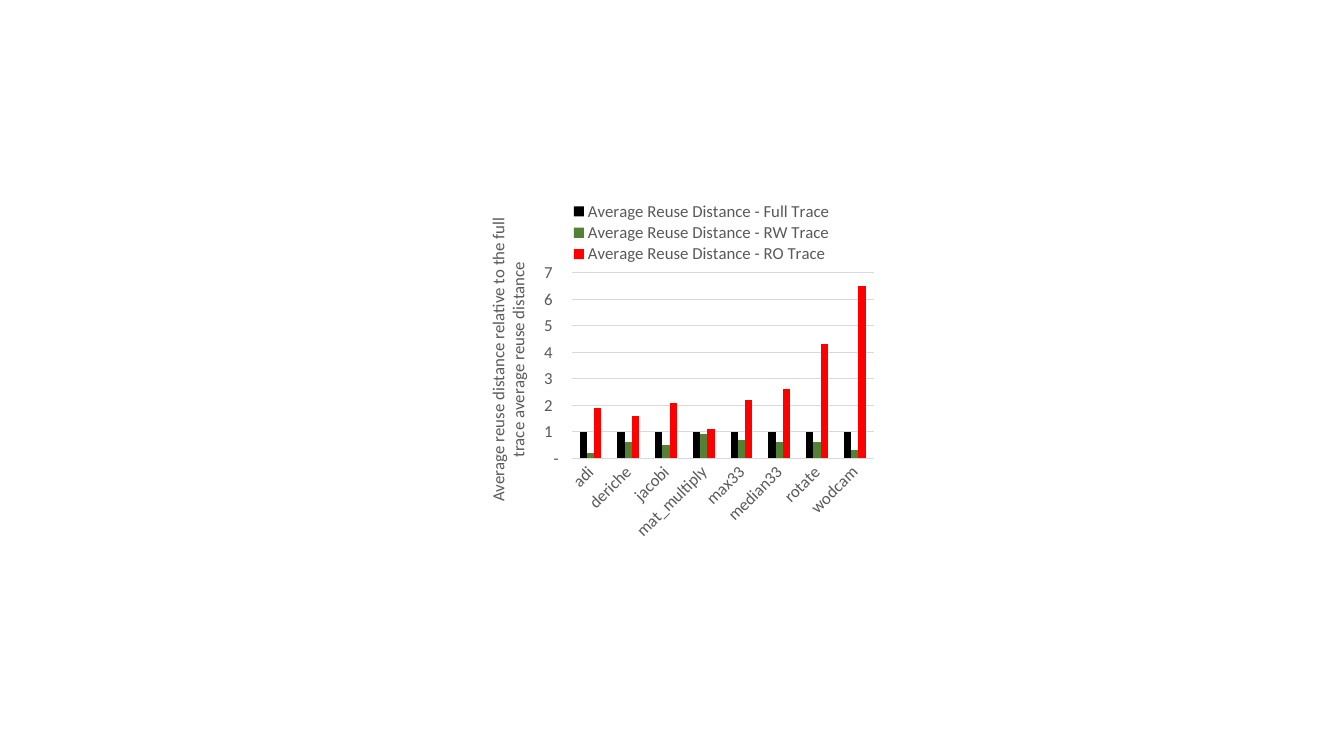
import pptx
import pptx.chart.data
import pptx.dml.color
import pptx.enum.chart
import pptx.oxml
import pptx.oxml.ns
import pptx.util

Cm = pptx.util.Cm
Pt = pptx.util.Pt
RGBColor = pptx.dml.color.RGBColor
qn = pptx.oxml.ns.qn

BLACK = RGBColor(0x00, 0x00, 0x00)
GREEN = RGBColor(0x54, 0x82, 0x35)
RED = RGBColor(0xFF, 0x00, 0x00)
TEXT_GREY = RGBColor(0x59, 0x59, 0x59)
LINE_GREY = RGBColor(0xD9, 0xD9, 0xD9)

KERNELS = ["adi", "deriche", "jacobi", "mat_multiply",
           "max33", "median33", "rotate", "wodcam"]
TRACES = [
    ("Full", BLACK, [1] * len(KERNELS)),
    ("RW", GREEN, [0.2, 0.6, 0.5, 0.9, 0.7, 0.6, 0.6, 0.3]),
    ("RO", RED, [1.9, 1.6, 2.1, 1.1, 2.2, 2.6, 4.3, 6.5]),
]
TEXT_FORMAT = {"name": "Calibri", "size": Pt(12), "bold": False}


def format_text(font):
    for attribute, value in TEXT_FORMAT.items():
        setattr(font, attribute, value)
    font.color.rgb = TEXT_GREY


def place(element, index, **fractions):
    for old_layout in element.findall(qn("c:layout")):
        element.remove(old_layout)
    settings = "".join(f'<c:{tag} val="{value}"/>' for tag, value in fractions.items())
    element.insert(index, pptx.oxml.parse_xml(
        f'<c:layout {pptx.oxml.ns.nsdecls("c")}><c:manualLayout>'
        f'{settings}</c:manualLayout></c:layout>'))


presentation = pptx.Presentation()
presentation.slide_width = Cm(33.87)
presentation.slide_height = Cm(19.05)
slide = presentation.slides.add_slide(presentation.slide_layouts[6])

reuse_data = pptx.chart.data.CategoryChartData()
reuse_data.categories = KERNELS
for trace, color, distances in TRACES:
    reuse_data.add_series(f"Average Reuse Distance - {trace} Trace", distances)

reuse_chart = slide.shapes.add_chart(
    pptx.enum.chart.XL_CHART_TYPE.COLUMN_CLUSTERED,
    Cm(11.66), Cm(4.95), Cm(10.57), Cm(9.17), reuse_data).chart
reuse_chart.has_title = False
format_text(reuse_chart.font)

bars = reuse_chart.plots[0]
bars.gap_width = 219
bars.overlap = 0
bars.vary_by_categories = False
for series, (trace, color, distances) in zip(bars.series, TRACES):
    series.format.fill.solid()
    series.format.fill.fore_color.rgb = color
    series.invert_if_negative = False

kernel_axis = reuse_chart.category_axis
distance_axis = reuse_chart.value_axis
for axis in (kernel_axis, distance_axis):
    axis.major_tick_mark = pptx.enum.chart.XL_TICK_MARK.NONE
    axis.minor_tick_mark = pptx.enum.chart.XL_TICK_MARK.NONE
    format_text(axis.tick_labels.font)

kernel_axis.has_major_gridlines = False
distance_axis.has_major_gridlines = True
for line in (kernel_axis.format.line, distance_axis.major_gridlines.format.line):
    line.color.rgb = LINE_GREY
    line.width = Pt(0.75)
distance_axis.format.line.fill.background()

distance_axis.minimum_scale = 0
distance_axis.maximum_scale = 7
distance_axis.major_unit = 1
distance_axis.tick_labels.number_format = (
    '_-* #,##0\\ _€_-;\\-* #,##0\\ _€_-;_-* "-"?')
distance_axis.tick_labels.number_format_is_linked = False

distance_title = distance_axis.axis_title
distance_title.text_frame.text = (
    "Average reuse distance relative to the full trace average reuse distance")
format_text(distance_title.text_frame.paragraphs[0].runs[0].font)

legend = reuse_chart.legend if reuse_chart.has_legend else None
reuse_chart.has_legend = True
legend = reuse_chart.legend
legend.position = pptx.enum.chart.XL_LEGEND_POSITION.BOTTOM
legend.include_in_layout = False
format_text(legend.font)

for owner, angle in ((kernel_axis, -45), (distance_title, -90)):
    body = next(owner._element.iter(qn("a:bodyPr")))
    body.set("rot", str(angle * 60000))
    body.set("vert", "horz")

place(distance_title._element, 1, xMode="edge", yMode="edge", x=0.05, y=0.05)
place(legend._element, 1, xMode="edge", yMode="edge", x=0.25, y=0.01, w=0.64, h=0.18)
place(next(reuse_chart._chartSpace.iter(qn("c:plotArea"))), 0,
      layoutTarget="inner", xMode="edge", yMode="edge",
      x=0.26, y=0.21, w=0.72, h=0.51)

presentation.save("out.pptx")
